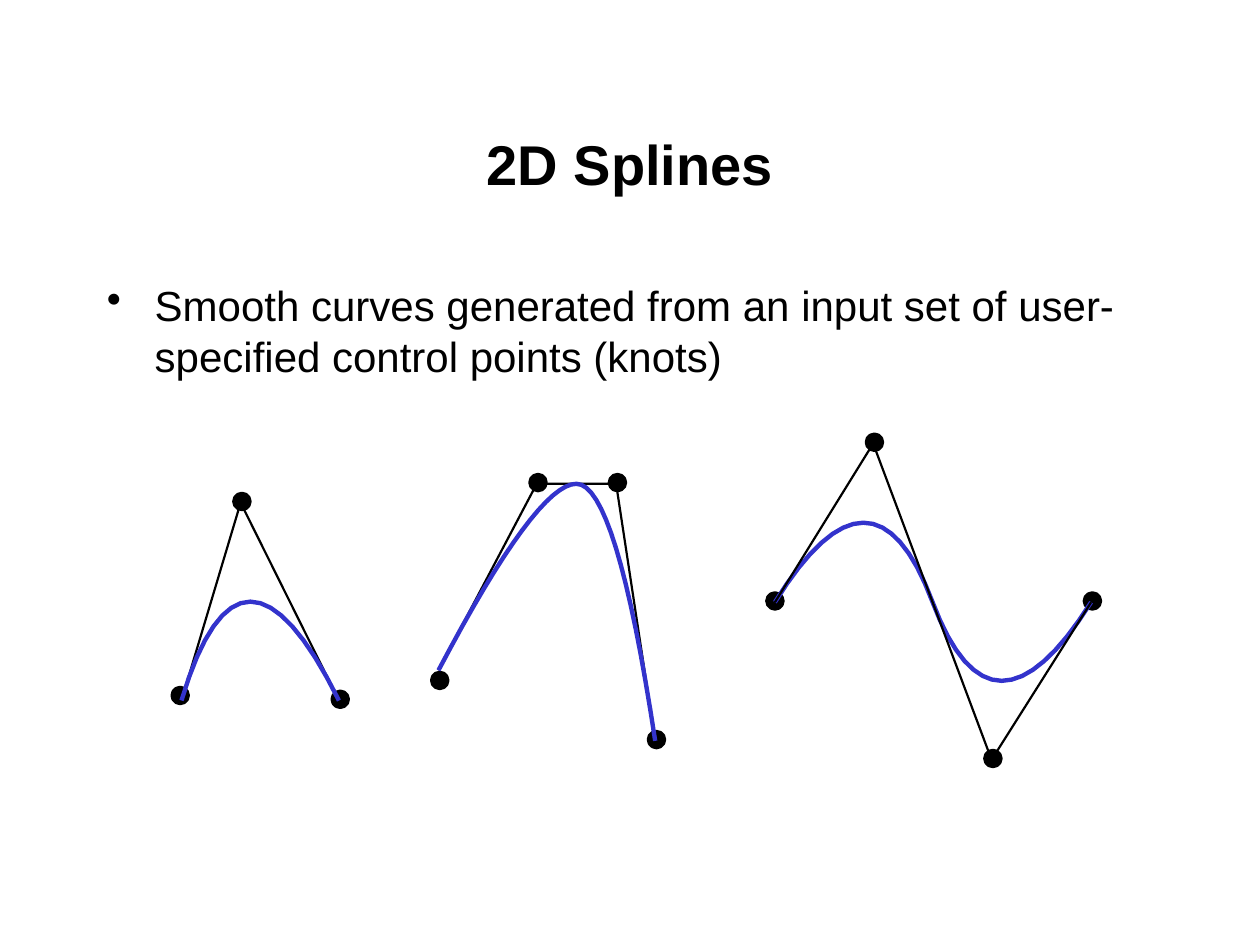
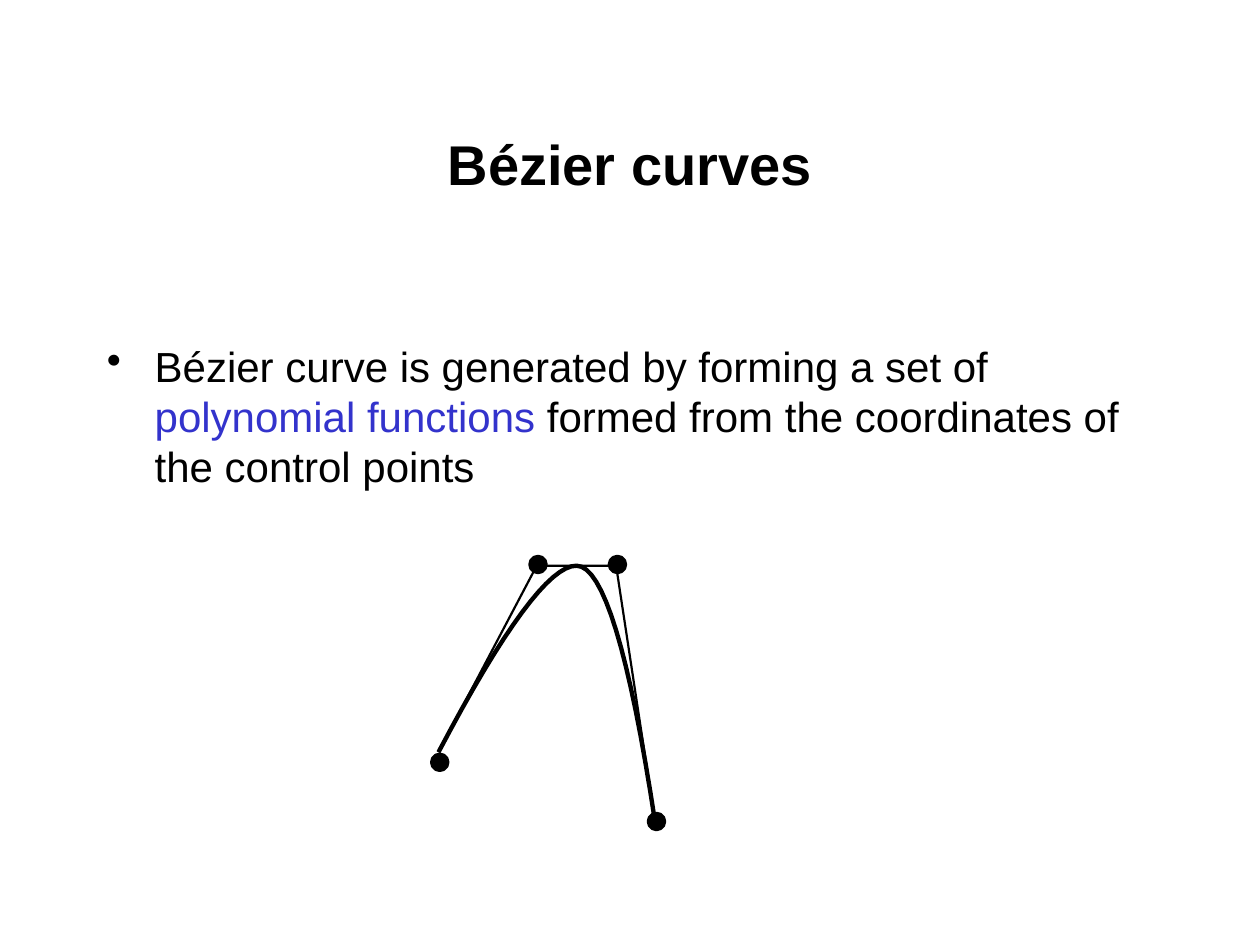
from dataclasses import dataclass

from lxml import etree
from pptx import Presentation
from pptx.dml.color import RGBColor
from pptx.enum.shapes import MSO_SHAPE
from pptx.enum.text import MSO_ANCHOR, PP_ALIGN
from pptx.oxml.ns import qn
from pptx.util import Emu, Pt

ELLIPSE = MSO_SHAPE.OVAL
MIDDLE, TOP = MSO_ANCHOR.MIDDLE, MSO_ANCHOR.TOP
CENTER, LEFT = PP_ALIGN.CENTER, PP_ALIGN.LEFT

PX = 9144  # EMU in one px, 100 px to the inch
TITLE_ONLY_LAYOUT = 5
SLIDE_SIZE = (1000, 750)
BULLET_INDENT = 38
TEXT_INSET = 5
BODY_LINE = 48  # one body line with its paragraph gap
KNOT_SIZE = 12
KNOT_OFFSET = (-5, -7)  # from a control point to the corner of its knot
STEPS_PER_PIECE = 16

Point = tuple[float, float]


@dataclass(frozen=True)
class Theme:
    font: str = "Arial"
    black: RGBColor = RGBColor(0x00, 0x00, 0x00)
    white: RGBColor = RGBColor(0xFF, 0xFF, 0xFF)
    blue: RGBColor = RGBColor(0x33, 0x33, 0xCC)
    title_size: float = 32
    body_size: float = 24
    polygon_width: float = 1.25
    curve_width: float = 2.5


THEME = Theme()


@dataclass(frozen=True)
class Box:
    left: float
    top: float
    width: float
    height: float

    def emu(self) -> tuple[Emu, ...]:
        return tuple(Emu(round(n * PX)) for n in (self.left, self.top, self.width, self.height))


@dataclass(frozen=True)
class Spline:
    """Control points, and how far the first knot sits from its usual place."""
    control_points: list[Point]
    first_knot_shift: Point
    polygon_on_top: bool = False


@dataclass(frozen=True)
class Span:
    text: str
    color: RGBColor = THEME.black


TITLE_BOX = Box(75, 67, 850, 125)
SPLINES_BODY_BOX = Box(75, 217, 850, 158)
BEZIER_BODY_BOX = Box(75, 217, 850, 200)
BEZIER_DROP = 65  # the same spline sits lower on the second slide

ARCH = Spline([(144, 556), (191, 399), (269, 556)], (-2, -3))
PEAK = Spline([(348, 532), (426, 384), (489, 384), (520, 588)], (0, 9))
WAVE = Spline([(615, 478), (693, 352), (787, 603), (866, 478)], (-1, 0), polygon_on_top=True)


def moved(point: Point, offset: Point) -> Point:
    return point[0] + offset[0], point[1] + offset[1]


def blend(start: Point, end: Point, share: float) -> Point:
    """The point that lies the given share of the way from start to end."""
    return tuple(a + (b - a) * share for a, b in zip(start, end))


def curve_points(control_points: list[Point]) -> list[Point]:
    """Sample quadratic Bézier pieces that join halfway between inner control points."""
    first, *inner, last = control_points
    joints = [first, *(blend(a, b, 0.5) for a, b in zip(inner, inner[1:])), last]
    points = [first]
    for start, pull, end in zip(joints, inner, joints[1:]):
        for step in range(1, STEPS_PER_PIECE + 1):
            share = step / STEPS_PER_PIECE
            points.append(blend(blend(start, pull, share), blend(pull, end, share), share))
    return points


def apply_format(target, values: dict) -> None:
    for name, value in values.items():
        setattr(target, name, value)


def add_run(paragraph, span: Span, size: float, bold: bool = False) -> None:
    run = paragraph.add_run()
    run.text = span.text
    apply_format(run.font, {"name": THEME.font, "size": Pt(size), "bold": bold})
    run.font.color.rgb = span.color


def add_title(slide, text: str) -> None:
    title = slide.shapes.title
    apply_format(title, dict(zip(("left", "top", "width", "height"), TITLE_BOX.emu())))
    apply_format(title.text_frame, {"word_wrap": True, "vertical_anchor": MIDDLE})
    paragraph = title.text_frame.paragraphs[0]
    paragraph.alignment = CENTER
    add_run(paragraph, Span(text), THEME.title_size, bold=True)


def add_bullet_mark(paragraph) -> None:
    properties = paragraph._p.get_or_add_pPr()
    properties.set("marL", str(BULLET_INDENT * PX))
    properties.set("indent", str(-BULLET_INDENT * PX))
    color = etree.SubElement(properties, qn("a:buClr"))
    etree.SubElement(color, qn("a:srgbClr")).set("val", str(THEME.black))
    etree.SubElement(properties, qn("a:buChar")).set("char", "•")


def add_bullet_text(slide, box: Box, spans: list[Span], top_inset: int = TEXT_INSET) -> None:
    frame = slide.shapes.add_textbox(*box.emu()).text_frame
    apply_format(frame, {"word_wrap": True, "vertical_anchor": TOP,
                         "margin_top": Emu(top_inset * PX)})
    paragraph = frame.paragraphs[0]
    add_bullet_mark(paragraph)
    paragraph.alignment = LEFT
    for span in spans:
        add_run(paragraph, span, THEME.body_size)


def set_outline(shape, color: RGBColor, width: float) -> None:
    shape.shadow.inherit = False
    shape.line.color.rgb = color
    shape.line.width = Pt(width)


def add_knot(shapes, corner: Point) -> None:
    knot = shapes.add_shape(ELLIPSE, *Box(*corner, KNOT_SIZE, KNOT_SIZE).emu())
    knot.fill.solid()
    knot.fill.fore_color.rgb = THEME.black
    set_outline(knot, THEME.black, THEME.curve_width)


def add_polyline(shapes, points: list[Point], color: RGBColor, width: float) -> None:
    start, *rest = [(x * PX, y * PX) for x, y in points]
    builder = shapes.build_freeform(*start)
    builder.add_line_segments(rest, close=False)
    polyline = builder.convert_to_shape()
    polyline.fill.background()
    set_outline(polyline, color, width)


def add_spline(shapes, spline: Spline, curve_color: RGBColor, drop: int = 0) -> None:
    """Draw the knots, the control polygon and the curve it shapes."""
    polygon = [moved(point, (0, drop)) for point in spline.control_points]
    for point in [moved(polygon[0], spline.first_knot_shift), *polygon[1:]]:
        add_knot(shapes, moved(point, KNOT_OFFSET))
    strokes = [(polygon, THEME.black, THEME.polygon_width),
               (curve_points(polygon), curve_color, THEME.curve_width)]
    if spline.polygon_on_top:
        strokes.reverse()
    for stroke in strokes:
        add_polyline(shapes, *stroke)


def add_slide(presentation, title: str):
    slide = presentation.slides.add_slide(presentation.slide_layouts[TITLE_ONLY_LAYOUT])
    slide.background.fill.solid()
    slide.background.fill.fore_color.rgb = THEME.white
    add_title(slide, title)
    return slide


def add_splines_slide(presentation) -> None:
    slide = add_slide(presentation, "2D Splines")
    add_bullet_text(slide, SPLINES_BODY_BOX, [
        Span("Smooth curves generated from an input set of "
             "user-specified control points (knots)"),
    ])
    for spline in (ARCH, PEAK, WAVE):
        add_spline(slide.shapes, spline, THEME.blue)


def add_bezier_slide(presentation) -> None:
    slide = add_slide(presentation, "Bézier curves")
    add_bullet_text(slide, BEZIER_BODY_BOX, [
        Span("Bézier curve is generated by forming a set of "),
        Span("polynomial functions", THEME.blue),
        Span(" formed from the coordinates of the control points"),
    ], top_inset=TEXT_INSET + BODY_LINE)
    group = slide.shapes.add_group_shape()
    add_spline(group.shapes, PEAK, THEME.black, BEZIER_DROP)


def main() -> None:
    presentation = Presentation()
    width, height = SLIDE_SIZE
    apply_format(presentation, {"slide_width": Emu(width * PX),
                                "slide_height": Emu(height * PX)})
    add_splines_slide(presentation)
    add_bezier_slide(presentation)
    presentation.save("out.pptx")


if __name__ == "__main__":
    main()
